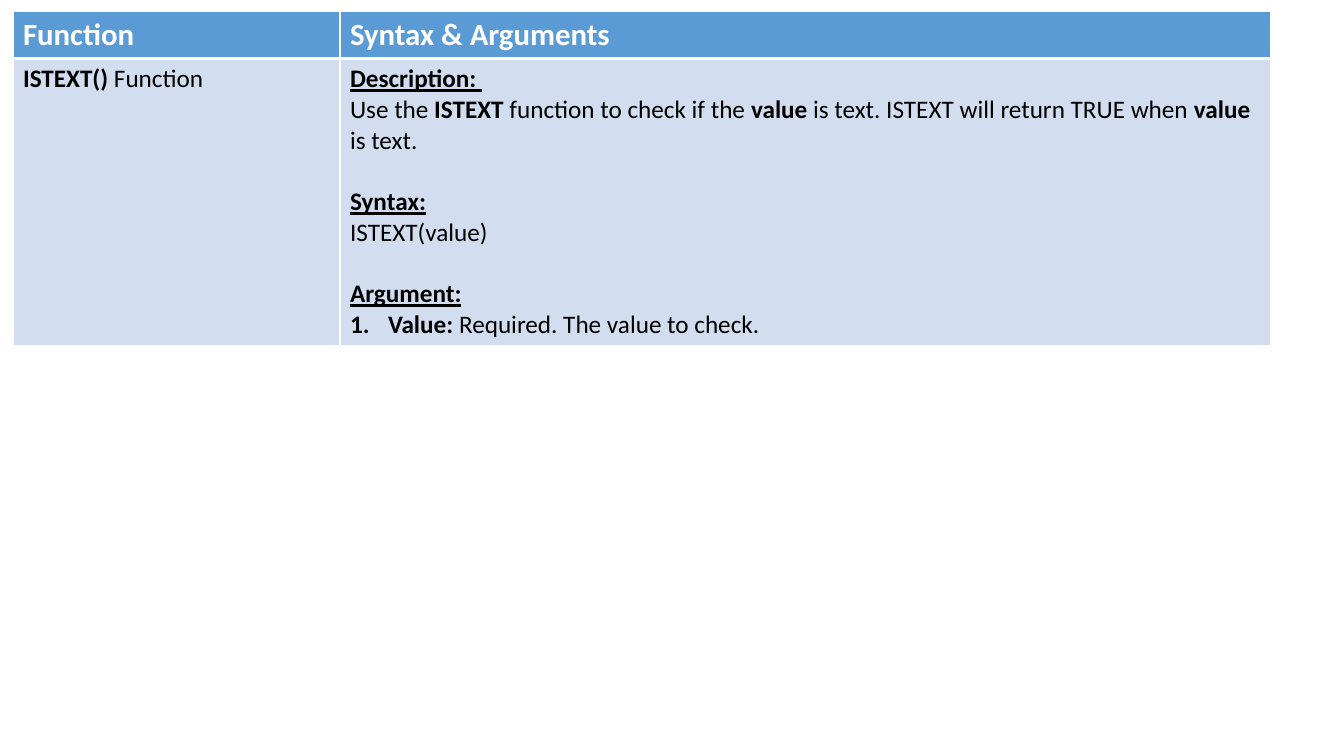
from lxml.etree import SubElement
from pptx import Presentation
from pptx.dml.color import RGBColor
from pptx.oxml import parse_xml
from pptx.oxml.ns import nsdecls, qn
from pptx.util import Emu, Pt

PIXELS_PER_INCH = 100.8
FONT = "Calibri"
WHITE, BLACK = "FFFFFF", "000000"
HEADER_BLUE, BODY_BLUE = "5B9BD5", "D2DEEF"
LINE_GAP = 22  # one blank line of 18 point text

# Each paragraph is a list of (text, style); b is bold, u is underlined
HEADERS = ["Function", "Syntax & Arguments"]
FUNCTION_NAME = [[("ISTEXT()", "b"), (" Function", "")]]
FUNCTION_DETAILS = [
    [("Description: ", "bu")],
    [("Use the ", ""), ("ISTEXT", "b"), (" function to check if the ", ""),
     ("value", "b"), (" is text. ISTEXT will return TRUE when ", ""),
     ("value", "b"), (" is text.", "")],
    [("Syntax:", "bu")],
    [("ISTEXT(value)", "")],
    [("Argument:", "bu")],
    [("Value:", "b"), (" Required. The value to check.", "")],
]


def px(length):
    return Emu(round(length * 914400 / PIXELS_PER_INCH))


def color(hex_string):
    return RGBColor.from_string(hex_string)


def set_borders(cell, top, bottom):
    """Draw white lines on all four sides, widths in points."""
    properties = cell._tc.get_or_add_tcPr()
    widths = {"lnL": 1, "lnR": 1, "lnT": top, "lnB": bottom}
    for position, (side, width) in enumerate(widths.items()):
        properties.insert(position, parse_xml(
            f'<a:{side} {nsdecls("a")} w="{Pt(width)}"><a:solidFill>'
            f'<a:srgbClr val="{WHITE}"/></a:solidFill></a:{side}>'))


def number_paragraph(paragraph, indent):
    properties = paragraph._p.get_or_add_pPr()
    properties.set("marL", str(indent))
    properties.set("indent", str(-indent))
    SubElement(properties, qn("a:buFont"), typeface=FONT)
    SubElement(properties, qn("a:buAutoNum"), type="arabicPeriod")


def write_runs(paragraph, runs, size, text_color):
    for text, style in runs:
        run = paragraph.add_run()
        run.text = text
        run.font.name = FONT
        run.font.size = Pt(size)
        run.font.bold = "b" in style
        run.font.underline = "u" in style
        run.font.color.rgb = color(text_color)


def fill_cell(cell, paragraphs, size, text_color, fill, top=1, bottom=1):
    cell.fill.solid()
    cell.fill.fore_color.rgb = color(fill)
    set_borders(cell, top, bottom)
    text_frame = cell.text_frame
    for index, runs in enumerate(paragraphs):
        paragraph = text_frame.add_paragraph() if index else text_frame.paragraphs[0]
        heading = runs[0][0]
        if heading in ("Syntax:", "Argument:"):
            paragraph.space_before = Pt(LINE_GAP)
        elif heading == "Value:":
            number_paragraph(paragraph, px(38))
        write_runs(paragraph, runs, size, text_color)


def add_function_table(slide):
    column_widths, row_heights = [327, 931], [47, 287]
    table = slide.shapes.add_table(
        2, 2, px(13), px(11), px(sum(column_widths)), px(sum(row_heights))).table
    table.horz_banding = False
    for column, width in zip(table.columns, column_widths):
        column.width = px(width)
    for row, height in zip(table.rows, row_heights):
        row.height = px(height)

    # Header row
    for index, header in enumerate(HEADERS):
        fill_cell(table.cell(0, index), [[(header, "b")]], 22, WHITE,
                  HEADER_BLUE, bottom=3)

    # Function row
    for index, paragraphs in enumerate([FUNCTION_NAME, FUNCTION_DETAILS]):
        fill_cell(table.cell(1, index), paragraphs, 18, BLACK, BODY_BLUE, top=3)


def main():
    presentation = Presentation()
    presentation.slide_width = px(1344)
    presentation.slide_height = px(756)
    slide = presentation.slides.add_slide(presentation.slide_layouts[6])
    add_function_table(slide)
    presentation.save("out.pptx")


if __name__ == "__main__":
    main()
